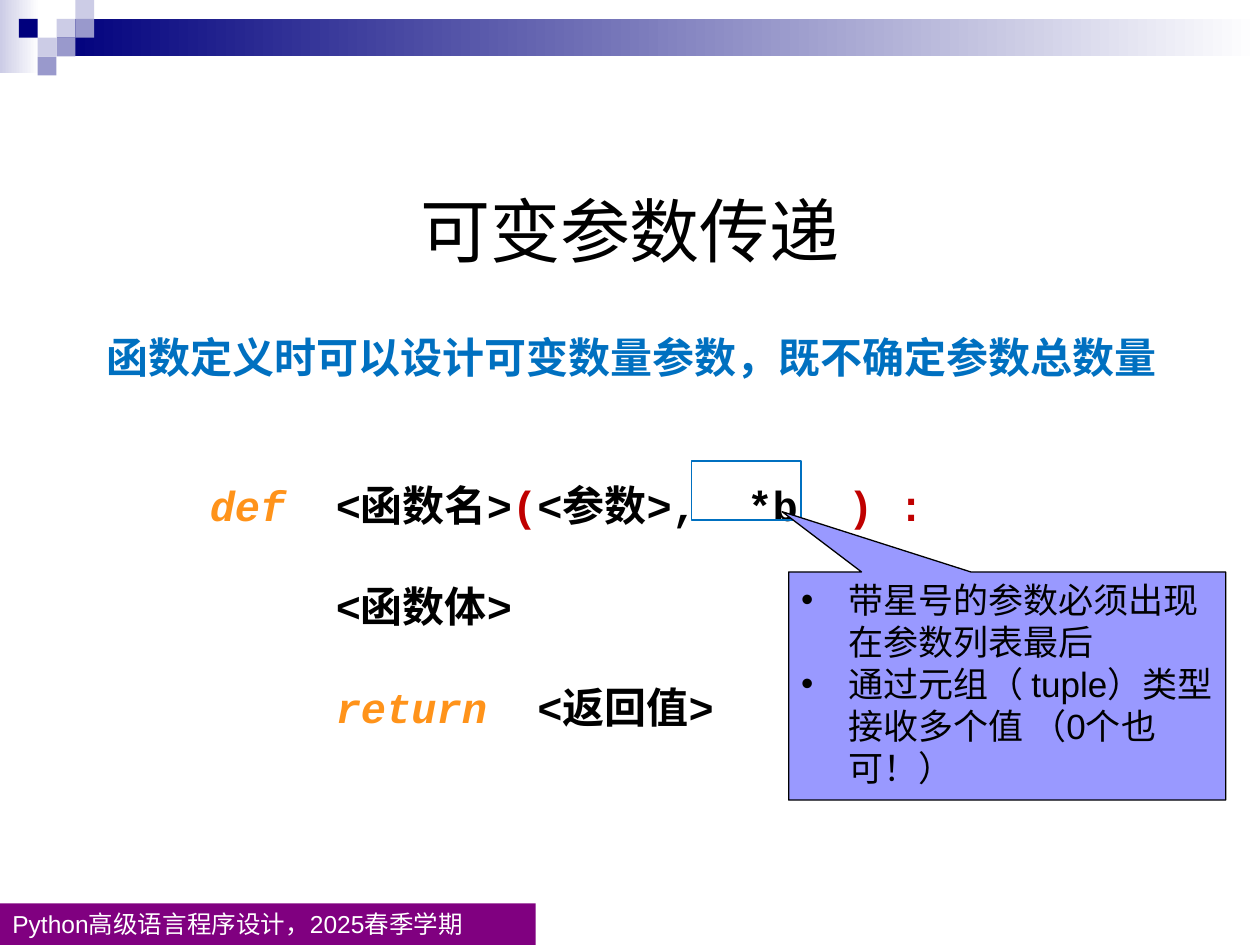
from dataclasses import dataclass

from lxml.etree import SubElement
from pptx import Presentation
from pptx.dml.color import RGBColor as RGB
from pptx.enum.shapes import MSO_SHAPE as Shape
from pptx.enum.text import MSO_ANCHOR as Anchor, MSO_AUTO_SIZE as AutoSize, PP_ALIGN as Align
from pptx.oxml.ns import qn
from pptx.util import Cm, Pt


@dataclass(frozen=True)
class Theme:
    navy: str = "00007D"
    pale: str = "CCCCE6"
    lilac: str = "9999CC"
    callout: str = "9999FF"
    purple: str = "800080"
    white: str = "FFFFFF"
    black: str = "000000"
    blue: str = "0070C0"
    orange: str = "FF931A"
    red: str = "C00000"
    sans: str = "Arial"
    mono: str = "Courier New"
    chinese: str = "Noto Sans CJK SC"
    title_size: int = 40
    body_size: int = 24
    note_size: int = 20
    footer_size: int = 14


def apply(target, values):
    for name, value in values.items():
        setattr(target, name, value)


class SlideBuilder:
    def __init__(self, slide, theme):
        self.slide = slide
        self.theme = theme

    def block(self, box, fill=None, line=None, width=1, kind=Shape.RECTANGLE):
        """Add a preset shape; a pair of fill colours makes a gradient."""
        shape = self.slide.shapes.add_shape(kind, *map(Cm, box))
        shape.shadow.inherit = False
        if isinstance(fill, tuple):
            shape.fill.gradient()
            shape.fill.gradient_angle = 0
            for position, (stop, color) in enumerate(zip(shape.fill.gradient_stops, fill)):
                stop.position = position
                stop.color.rgb = RGB.from_string(color)
        elif fill:
            shape.fill.solid()
            shape.fill.fore_color.rgb = RGB.from_string(fill)
        else:
            shape.fill.background()
        if line:
            shape.line.color.rgb = RGB.from_string(line)
            shape.line.width = Pt(width)
        else:
            shape.line.fill.background()
        return shape

    def textbox(self, box, paragraphs, size, frame_format=None, **text_format):
        shape = self.slide.shapes.add_textbox(*map(Cm, box))
        self.fill_text(shape, paragraphs, size, frame_format, **text_format)

    def fill_text(self, shape, paragraphs, size, frame_format=None, font=None,
                  bold=False, align=Align.LEFT, spacing=1.0, margin=0, bullet=None):
        """Fill a shape with paragraphs of (text, colour, italic) runs."""
        frame = shape.text_frame
        apply(frame, {"word_wrap": True, "vertical_anchor": Anchor.TOP, **(frame_format or {})})
        for index, runs in enumerate(paragraphs):
            paragraph = frame.add_paragraph() if index else frame.paragraphs[0]
            apply(paragraph, {"alignment": align, "line_spacing": spacing})
            properties = paragraph._p.get_or_add_pPr()
            properties.set("marL", str(Cm(margin)))
            properties.set("indent", str(-Cm(margin) if bullet else 0))
            if bullet:
                SubElement(properties, qn("a:buFont")).set("typeface", self.theme.sans)
                SubElement(properties, qn("a:buChar")).set("char", bullet)
            for text, color, italic in runs:
                run = paragraph.add_run()
                run.text = text
                apply(run.font, {"name": font or self.theme.sans, "size": Pt(size),
                                 "bold": bold, "italic": italic})
                run.font.color.rgb = RGB.from_string(color)
                east_asian = SubElement(run._r.get_or_add_rPr(), qn("a:ea"))
                east_asian.set("typeface", self.theme.chinese)


def main():
    theme = Theme()
    deck = Presentation()
    apply(deck, {"slide_width": Cm(25.4), "slide_height": Cm(19.05)})
    builder = SlideBuilder(deck.slides.add_slide(deck.slide_layouts[6]), theme)
    grow = {"auto_size": AutoSize.SHAPE_TO_FIT_TEXT}

    # Header bands and mosaic of squares on a grid
    builder.block((0, 0, 0.79, 1.47), (theme.pale, theme.white))
    builder.block((1.14, 0.38, 24.26, 0.76), (theme.navy, theme.white))
    unit = 0.38
    mosaic = {
        theme.pale: [(3, 1), (4, 0), (2, 2)],
        theme.lilac: [(4, 1), (3, 2), (2, 3)],
        theme.navy: [(1, 1)],
    }
    for color, cells in mosaic.items():
        for column, row in cells:
            builder.block((column * unit, row * unit, unit, unit), color)

    # Footer
    footer = builder.block((0, 18.21, 10.8, 0.84), theme.purple)
    builder.fill_text(footer, [[("Python高级语言程序设计，2025春季学期", theme.white, False)]],
                      theme.footer_size, grow)

    # Title and statement
    no_insets = {f"margin_{side}": 0 for side in ("left", "top", "right", "bottom")}
    builder.textbox((0, 3.73, 25.4, 2.21), [[("可变参数传递", theme.black, False)]],
                    theme.title_size, {"vertical_anchor": Anchor.MIDDLE, **no_insets},
                    font=theme.chinese, align=Align.CENTER, spacing=0.7)
    statement = "函数定义时可以设计可变数量参数，既不确定参数总数量"
    builder.textbox((0.03, 6.05, 25.4, 1.63), [[(statement, theme.blue, False)]],
                    theme.body_size, grow, font=theme.chinese, bold=True,
                    align=Align.CENTER, spacing=1.5)

    # Function syntax
    syntax = [
        [("def", theme.orange, True), ("  <函数名>", theme.black, False),
         ("(", theme.red, False), ("<参数>,  *b  ", theme.black, False),
         (") :", theme.red, False)],
        [("     <函数体>", theme.black, False)],
        [("     ", theme.orange, False), ("return  ", theme.orange, True),
         ("<返回值>", theme.black, False)],
    ]
    builder.textbox((3.5, 8.53, 18.92, 6.12), syntax, theme.body_size, grow,
                    font=theme.mono, bold=True, align=Align.JUSTIFY, spacing=2.0, margin=0.48)

    # Highlight frame and callout
    builder.block((13.94, 9.3, 2.21, 1.19), line=theme.blue)
    callout = builder.block((15.9, 11.53, 8.81, 4.6), theme.callout, theme.black, 0.75,
                            Shape.RECTANGULAR_CALLOUT)
    callout.adjustments[0] = -0.515
    callout.adjustments[1] = -0.764
    notes = ["带星号的参数必须出现在参数列表最后",
             "通过元组（ tuple）类型接收多个值 （0个也可！）"]
    builder.fill_text(callout, [[(note, theme.black, False)] for note in notes],
                      theme.note_size, margin=0.95, bullet="•")

    deck.save("out.pptx")


if __name__ == "__main__":
    main()
